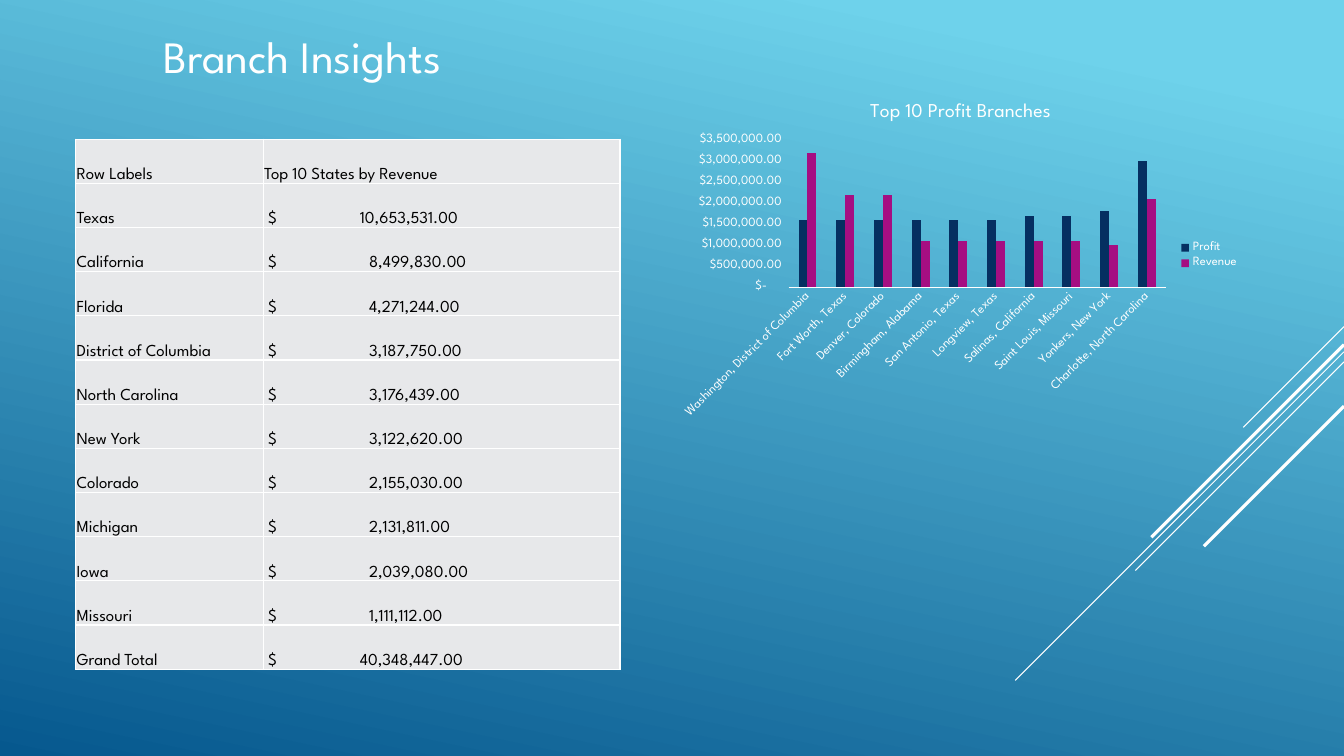
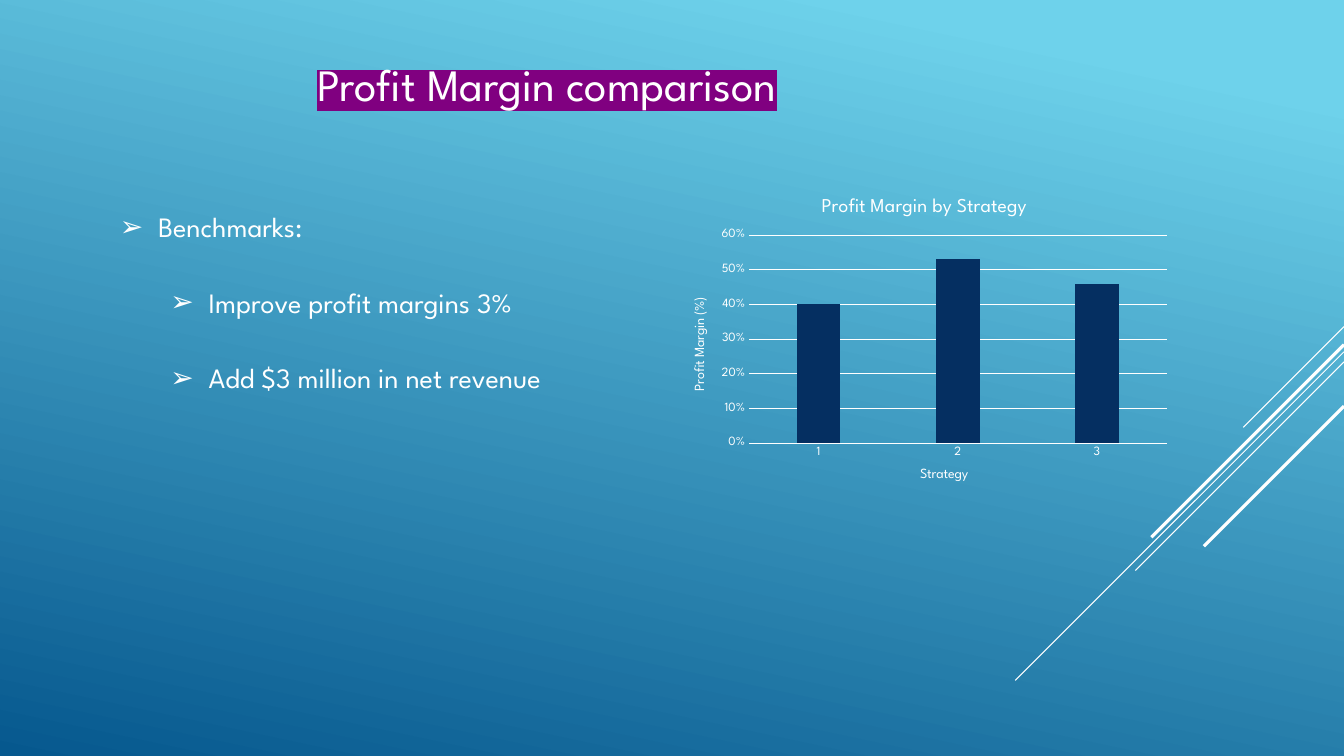
from dataclasses import dataclass
from typing import Optional

from lxml import etree
from pptx import Presentation
from pptx.chart.data import CategoryChartData
from pptx.dml.color import RGBColor
from pptx.enum.chart import XL_CHART_TYPE, XL_LEGEND_POSITION, XL_TICK_MARK
from pptx.enum.shapes import MSO_CONNECTOR
from pptx.enum.text import MSO_ANCHOR, MSO_AUTO_SIZE, PP_ALIGN
from pptx.oxml.ns import qn
from pptx.util import Inches, Pt

# Shared style
WHITE = RGBColor(0xFF, 0xFF, 0xFF)
BLACK = RGBColor(0x00, 0x00, 0x00)
SKY = RGBColor(0x6E, 0xD2, 0xEB)
OCEAN = RGBColor(0x06, 0x58, 0x8E)
NAVY = RGBColor(0x05, 0x2F, 0x61)
MAGENTA = RGBColor(0xA5, 0x0E, 0x82)
PURPLE = RGBColor(0x80, 0x00, 0x80)
CELL_GREY = RGBColor(0xE7, 0xE8, 0xEA)
FONT = "League Spartan"
COLUMNS = XL_CHART_TYPE.COLUMN_CLUSTERED
NO_TICKS = XL_TICK_MARK.NONE
LEGEND_RIGHT = XL_LEGEND_POSITION.RIGHT
STRAIGHT = MSO_CONNECTOR.STRAIGHT
TOP, BOTTOM = MSO_ANCHOR.TOP, MSO_ANCHOR.BOTTOM
FIT_SHAPE, FIXED = MSO_AUTO_SIZE.SHAPE_TO_FIT_TEXT, MSO_AUTO_SIZE.NONE
CENTER = PP_ALIGN.CENTER
ACCOUNTING = r'_("$"* #,##0.00_);_("$"* \(#,##0.00\);_("$"* "-"??_);_(@_)'
SLIDE_WIDTH, SLIDE_HEIGHT = 13.33, 7.5


@dataclass
class Box:
    left: float
    top: float
    width: float
    height: float

    def lengths(self) -> tuple:
        return tuple(map(Inches, (self.left, self.top, self.width, self.height)))


@dataclass
class Ray:
    """A diagonal from the right edge down to the left."""
    top: float
    reach: float
    weight: float


@dataclass
class ChartSeries:
    name: str
    values: list
    color: RGBColor


@dataclass
class ColumnChart:
    box: Box
    title: str
    categories: list
    series: list
    number_format: str
    maximum: float
    step: float
    overlap: int = 0
    gridlines: bool = False
    legend: bool = False
    label_rotation: int = 0
    category_title: Optional[str] = None
    value_title: Optional[str] = None


RAYS = [Ray(3.24, 1, 0.75), Ray(3.49, 3.26, 0.75), Ray(3.59, 2.07, 0.75),
        Ray(3.42, 1.91, 2.25), Ray(4.03, 1.39, 2.25)]


def style_font(font, size: float, color: RGBColor = WHITE) -> None:
    font.name = FONT
    font.size = Pt(size)
    font.bold = False
    font.color.rgb = color


def set_margins(target, left: float, top: float, right: float, bottom: float) -> None:
    target.margin_left, target.margin_top = Inches(left), Inches(top)
    target.margin_right, target.margin_bottom = Inches(right), Inches(bottom)


def place(shape, box: Box) -> None:
    shape.left, shape.top, shape.width, shape.height = box.lengths()


def style_master(master, slide) -> None:
    # Gradient background
    fill = master.background.fill
    fill.gradient()
    fill.gradient_angle = 360 - 102
    for stop, position, color in zip(fill.gradient_stops, (0.1, 1), (SKY, OCEAN)):
        stop.position = position
        stop.color.rgb = color
    # Rays are drawn on a slide, then moved to the master
    for number, ray in enumerate(RAYS):
        connector = slide.shapes.add_connector(
            STRAIGHT, Inches(SLIDE_WIDTH), Inches(ray.top),
            Inches(SLIDE_WIDTH - ray.reach), Inches(ray.top + ray.reach))
        connector.line.color.rgb = WHITE
        connector.line.width = Pt(ray.weight)
        element = connector.element
        etree.SubElement(element.spPr, qn("a:effectLst"))
        element.find(".//" + qn("p:cNvPr")).set("id", str(100 + number))
        master.shapes.element.append(element)


def set_title(slide, text: str, box: Box, highlight: Optional[RGBColor] = None) -> None:
    title = slide.shapes.title
    place(title, box)
    frame = title.text_frame
    frame.text = text
    frame.word_wrap = False
    frame.auto_size = FIT_SHAPE
    frame.vertical_anchor = TOP
    set_margins(frame, 0, 0.13, 0, 0)
    paragraph = frame.paragraphs[0]
    paragraph.alignment = CENTER
    run = paragraph.runs[0]
    style_font(run.font, 32)
    if highlight is not None:
        mark = etree.Element(qn("a:highlight"))
        etree.SubElement(mark, qn("a:srgbClr")).set("val", str(highlight))
        run.font._element.find(qn("a:latin")).addprevious(mark)


def set_bullets(shape, box: Box, items: list) -> None:
    place(shape, box)
    frame = shape.text_frame
    frame.text = "\n".join(text for _, text in items)
    frame.word_wrap = True
    frame.auto_size = FIXED
    frame.vertical_anchor = TOP
    set_margins(frame, 0.1, 0.76, 0.1, 0.05)
    for index, (paragraph, (level, _)) in enumerate(zip(frame.paragraphs, items)):
        paragraph.level = level
        paragraph.line_spacing = 1.0
        paragraph.space_before = Pt(30 if index else 0)
        style_font(paragraph.runs[0].font, 20)
        properties = paragraph._p.get_or_add_pPr()
        properties.set("marL", str(Inches(0.38 + 0.5 * level)))
        properties.set("indent", str(Inches(-0.38)))
        etree.SubElement(properties, qn("a:buFont")).set("typeface", "Arial")
        etree.SubElement(properties, qn("a:buChar")).set("char", "➢")


def fill_cell(cell, text: str, left_margin: float, tab: Optional[float] = None) -> None:
    cell.text = text
    cell.vertical_anchor = BOTTOM
    set_margins(cell, left_margin, 0.01, 0.01, 0)
    cell.fill.solid()
    cell.fill.fore_color.rgb = CELL_GREY
    paragraph = cell.text_frame.paragraphs[0]
    style_font(paragraph.runs[0].font, 12, BLACK)
    if tab is not None:
        tabs = etree.SubElement(paragraph._p.get_or_add_pPr(), qn("a:tabLst"))
        etree.SubElement(tabs, qn("a:tab"), pos=str(Inches(tab)), algn="l")
    for index, side in enumerate(("lnL", "lnR", "lnT", "lnB")):
        border = etree.Element(qn("a:" + side), w=str(Pt(1)))
        solid = etree.SubElement(border, qn("a:solidFill"))
        etree.SubElement(solid, qn("a:srgbClr")).set("val", str(WHITE))
        cell._tc.get_or_add_tcPr().insert(index, border)


def add_revenue_table(slide, box: Box, widths: tuple, headings: tuple, revenues: list) -> None:
    table = slide.shapes.add_table(len(revenues) + 1, 2, *box.lengths()).table
    for column, width in zip(table.columns, widths):
        column.width = Inches(width)
    for column, heading in enumerate(headings):
        fill_cell(table.cell(0, column), heading, 0.01)
    for row, (state, revenue) in enumerate(revenues, start=1):
        fill_cell(table.cell(row, 0), state, 0.01)
        tab = 0.91 if revenue >= 10_000_000 else 1
        fill_cell(table.cell(row, 1), f"$\t{revenue:,.2f}", 0.05, tab)


def set_chart_title(owner, text: str, size: float) -> None:
    owner.has_title = True
    title = owner.chart_title if hasattr(owner, "chart_title") else owner.axis_title
    title.text_frame.text = text
    style_font(title.text_frame.paragraphs[0].runs[0].font, size)


def add_column_chart(slide, design: ColumnChart) -> None:
    data = CategoryChartData()
    data.categories = design.categories
    for series in design.series:
        data.add_series(series.name, series.values)
    chart = slide.shapes.add_chart(COLUMNS, *design.box.lengths(), data).chart
    style_font(chart.font, 10)
    set_chart_title(chart, design.title, 14)
    # Columns
    plot = chart.plots[0]
    plot.gap_width = 219
    plot.overlap = design.overlap
    plot.vary_by_categories = False
    for drawn, series in zip(plot.series, design.series):
        drawn.format.fill.solid()
        drawn.format.fill.fore_color.rgb = series.color
    # Axes
    category_axis, value_axis = chart.category_axis, chart.value_axis
    for axis, title in ((category_axis, design.category_title),
                        (value_axis, design.value_title)):
        axis.major_tick_mark = axis.minor_tick_mark = NO_TICKS
        style_font(axis.tick_labels.font, 9)
        if title:
            set_chart_title(axis, title, 10)
    category_axis.format.line.color.rgb = WHITE
    category_axis.format.line.width = Pt(0.75)
    if design.label_rotation:
        body = category_axis._element.find(qn("c:txPr")).find(qn("a:bodyPr"))
        body.set("rot", str(design.label_rotation * 60000))
        body.set("vert", "horz")
    value_axis.format.line.fill.background()
    value_axis.minimum_scale = 0
    value_axis.maximum_scale = design.maximum
    value_axis.major_unit = design.step
    value_axis.tick_labels.number_format = design.number_format
    value_axis.tick_labels.number_format_is_linked = False
    value_axis.has_major_gridlines = design.gridlines
    if design.gridlines:
        value_axis.major_gridlines.format.line.color.rgb = WHITE
        value_axis.major_gridlines.format.line.width = Pt(0.75)
    # Legend
    chart.has_legend = design.legend
    if design.legend:
        chart.legend.position = LEGEND_RIGHT
        chart.legend.include_in_layout = False
        style_font(chart.legend.font, 9)


presentation = Presentation()
presentation.slide_width = Inches(SLIDE_WIDTH)
presentation.slide_height = Inches(SLIDE_HEIGHT)
title_and_content, title_only = (presentation.slide_layouts[index] for index in (1, 5))

# Slide 1: branch insights
branches = presentation.slides.add_slide(title_only)
style_master(presentation.slide_master, branches)
set_title(branches, "Branch Insights", Box(1.4, 0.15, 3.2, 0.54))
millions = 1_000_000
add_column_chart(branches, ColumnChart(
    Box(6.67, 0.85, 5.72, 3.37), "Top 10 Profit Branches",
    ["Washington, District of Columbia", "Fort Worth, Texas", "Denver, Colorado",
     "Birmingham, Alabama", "San Antonio, Texas", "Longview, Texas",
     "Salinas, California", "Saint Louis, Missouri", "Yonkers, New York",
     "Charlotte, North Carolina"],
    [ChartSeries("Profit", [round(value * millions) for value in (
        1.6, 1.6, 1.6, 1.6, 1.6, 1.6, 1.7, 1.7, 1.8, 3)], NAVY),
     ChartSeries("Revenue", [round(value * millions) for value in (
         3.2, 2.2, 2.2, 1.1, 1.1, 1.1, 1.1, 1.1, 1, 2.1)], MAGENTA)],
    ACCOUNTING, 3.5 * millions, 0.5 * millions, legend=True, label_rotation=-45))
add_revenue_table(
    branches, Box(0.75, 1.38, 5.4, 5.26), (1.86, 3.54),
    ("Row Labels", "Top 10 States by Revenue"),
    [("Texas", 10653531), ("California", 8499830), ("Florida", 4271244),
     ("District of Columbia", 3187750), ("North Carolina", 3176439),
     ("New York", 3122620), ("Colorado", 2155030), ("Michigan", 2131811),
     ("Iowa", 2039080), ("Missouri", 1111112), ("Grand Total", 40348447)])

# Slide 2: profit margin comparison
margins = presentation.slides.add_slide(title_and_content)
set_title(margins, "Profit Margin comparison", Box(2.63, 0.43, 5.6, 1.08), PURPLE)
set_bullets(margins.placeholders[1], Box(1.09, 1.32, 5.13, 2.76),
            [(0, "Benchmarks:"), (1, "Improve profit margins 3%"),
             (1, "Add $3 million in net revenue")])
add_column_chart(margins, ColumnChart(
    Box(6.67, 1.8, 5, 3.19), "Profit Margin by Strategy", ["1", "2", "3"],
    [ChartSeries("Series 1", [0.4, 0.53, 0.46], NAVY)], "0%", 0.6, 0.1,
    overlap=-27, gridlines=True, category_title="Strategy",
    value_title="Profit Margin (%)"))

presentation.save("out.pptx")
